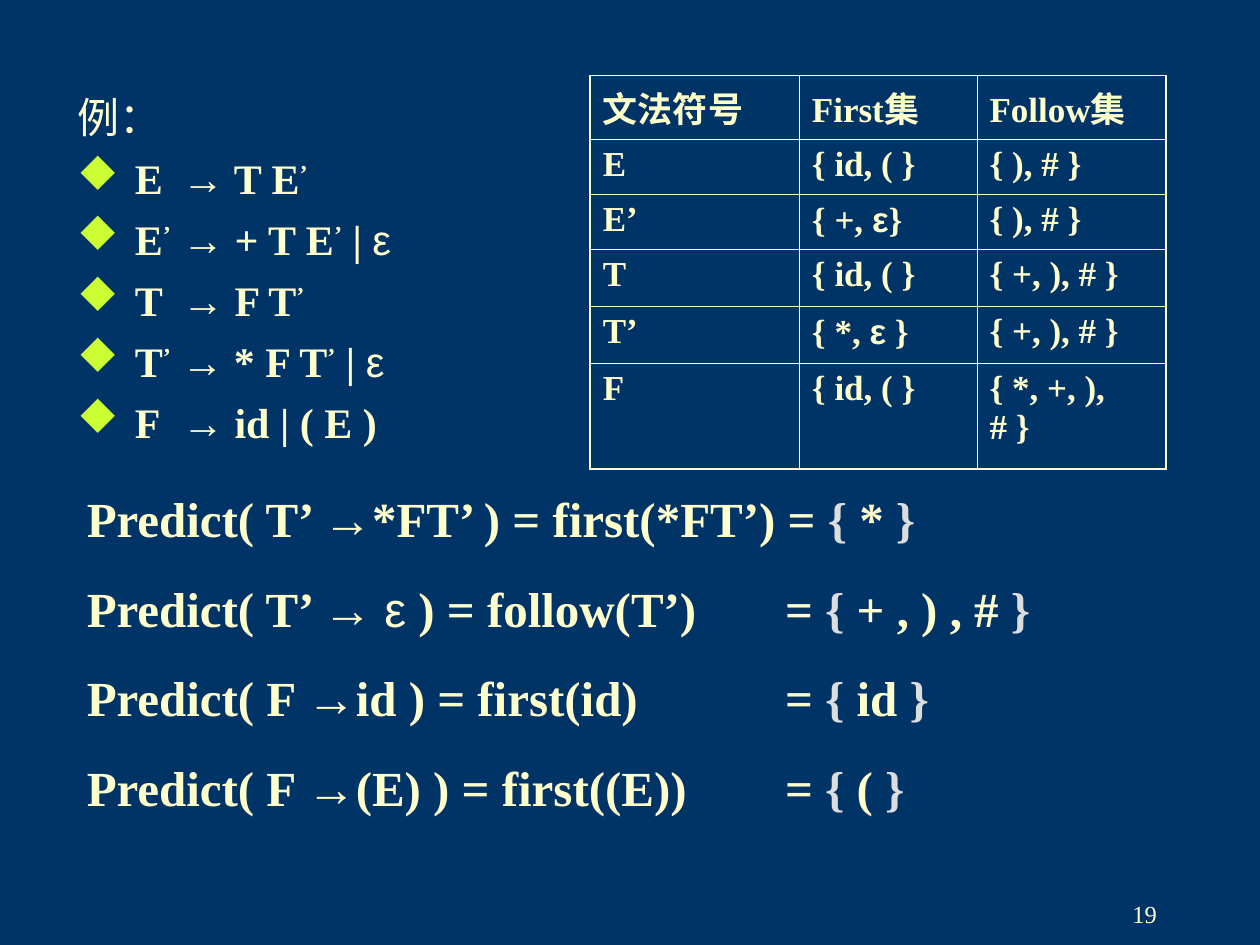
from dataclasses import dataclass
from itertools import groupby

from lxml import etree
from pptx import Presentation
from pptx.dml.color import RGBColor
from pptx.enum.text import MSO_ANCHOR, MSO_AUTO_SIZE, PP_ALIGN
from pptx.oxml.ns import qn
from pptx.util import Pt

TOP, MIDDLE = MSO_ANCHOR.TOP, MSO_ANCHOR.MIDDLE
RIGHT = PP_ALIGN.RIGHT
GROW, FIXED = MSO_AUTO_SIZE.SHAPE_TO_FIT_TEXT, MSO_AUTO_SIZE.NONE

HEX = {"back": "003366", "text": "FFFFCC", "mark": "CCFF33", "brace": "DDDDDD"}
SERIF, SANS = "Times New Roman", "Arial"
SYMBOL, DIAMOND = "Wingdings", "u"  # the letter u is a diamond in this font
THICK, THIN = 1.08, 0.45


@dataclass
class Box:
    x: float
    y: float
    w: float
    h: float


@dataclass
class Line:
    text: str
    bold: bool = True
    bullet: bool = False


@dataclass
class Row:
    high: float
    cells: tuple[str, str, str]


PAGE = Box(518.4, 504, 149.8, 36)
RULES = Box(37, 49, 232.6, 226.8)
GRID = Box(337.3, 43.2, 329, 221)
SETS = Box(42.5, 275.8, 594, 194.4)

GRAMMAR = [
    Line("例：", bold=False),
    Line("E\t→ T E’", bullet=True),
    Line("E’\t→ + T E’ | ε", bullet=True),
    Line("T\t→ F T’", bullet=True),
    Line("T’ → * F T’ | ε", bullet=True),
    Line("F\t→ id | ( E )", bullet=True),
]
PREDICT = [
    Line("Predict( T’ →*FT’ ) = first(*FT’) = { * }"),
    Line("Predict( T’ → ε ) = follow(T’)\t= { + , ) , # }"),
    Line("Predict( F →id ) = first(id)\t= { id }"),
    Line("Predict( F →(E) ) = first((E))\t= { ( }"),
]
COLS = (119.5, 101.5, 108)
ROWS = [
    Row(32.4, ("文法符号", "First集", "Follow集")),
    Row(31.5, ("E", "{ id, ( }", "{ ), # }")),
    Row(31.5, ("E’", "{ +, ε}", "{ ), # }")),
    Row(32.5, ("T", "{ id, ( }", "{ +, ), # }")),
    Row(32.5, ("T’", "{ *, ε }", "{ +, ), # }")),
    Row(60.5, ("F", "{ id, ( }", "{ *, +, ), # }")),
]


def rgb(name: str) -> RGBColor:
    return RGBColor.from_string(HEX[name])


def layout(para, tab: float = 0, indent: float = 0, bullet: bool = False) -> None:
    """Set the hanging indent, bullet and tab stop of a paragraph."""
    props = para._p.get_or_add_pPr()
    if indent:
        props.set("marL", str(Pt(indent)))
        props.set("indent", str(-Pt(indent)))
    if bullet:
        tint = etree.SubElement(props, qn("a:buClr"))
        etree.SubElement(tint, qn("a:srgbClr"), val=HEX["mark"])
        etree.SubElement(props, qn("a:buFont"), typeface=SYMBOL, charset="2")
        etree.SubElement(props, qn("a:buChar"), char=DIAMOND)
    if tab:
        stops = etree.SubElement(props, qn("a:tabLst"))
        etree.SubElement(stops, qn("a:tab"), pos=str(Pt(tab)), algn="l")


def write(para, text: str, *, size: float, bold: bool = True, light: str = "",
          raised: str = "", grey: str = "") -> None:
    """Add text in runs; light, raised and grey list the characters so styled."""
    def look(char: str) -> tuple[bool, bool, bool, bool]:
        return char in "→ε", char in light, char in raised, char in grey

    for (sans, thin, high, dim), chars in groupby(text, look):
        run = para.add_run()
        run.text = "".join(chars)
        font = run.font
        font.name = SANS if sans else SERIF
        font.size = Pt(size)
        font.bold = bold and not thin
        font.color.rgb = rgb("brace" if dim else "text")
        if high:
            run._r.get_or_add_rPr().set("baseline", "30000")


def frame(slide, box: Box, anchor=TOP, fit=FIXED):
    """Add a wrapping text box and return its text frame."""
    shape = slide.shapes.add_textbox(Pt(box.x), Pt(box.y), Pt(box.w), Pt(box.h))
    body = shape.text_frame
    body.word_wrap = True
    body.auto_size = fit
    body.vertical_anchor = anchor
    return body


def fill(body, lines: list[Line], gap: float, tab: float, indent: float = 0,
         **style) -> None:
    """Write one paragraph per line, with a gap between them."""
    for i, line in enumerate(lines):
        para = body.add_paragraph() if i else body.paragraphs[0]
        layout(para, tab if "\t" in line.text else 0, indent, line.bullet)
        para.space_before = Pt(gap if i else 0)
        write(para, line.text, bold=line.bold, **style)


def border(cell, edges: dict[str, bool]) -> None:
    """Rule all four sides of a cell, thick where the side is an outer edge."""
    props = cell._tc.get_or_add_tcPr()
    for side, outer in edges.items():
        wide = Pt(THICK if outer else THIN)
        rule = etree.SubElement(props, qn(f"a:ln{side}"), w=str(wide))
        solid = etree.SubElement(rule, qn("a:solidFill"))
        etree.SubElement(solid, qn("a:srgbClr"), val=HEX["text"])


def table(slide, box: Box) -> None:
    """Draw the table of first and follow sets."""
    grid = slide.shapes.add_table(len(ROWS), len(COLS), Pt(box.x), Pt(box.y),
                                  Pt(box.w), Pt(box.h)).table
    grid.first_row = grid.horz_banding = False
    for col, wide in zip(grid.columns, COLS):
        col.width = Pt(wide)
    for r, row in enumerate(ROWS):
        grid.rows[r].height = Pt(row.high)
        for c, text in enumerate(row.cells):
            cell = grid.cell(r, c)
            border(cell, {"L": c == 0, "R": c == len(COLS) - 1,
                          "T": r == 0, "B": r == len(ROWS) - 1})
            cell.fill.background()
            write(cell.text_frame.paragraphs[0], text, size=20)


def main() -> None:
    deck = Presentation()
    deck.slide_width, deck.slide_height = Pt(720), Pt(540)
    slide = deck.slides.add_slide(deck.slide_layouts[6])
    slide.background.fill.solid()
    slide.background.fill.fore_color.rgb = rgb("back")

    # Page number
    para = frame(slide, PAGE, MIDDLE).paragraphs[0]
    para.alignment = RIGHT
    write(para, "19", size=14, bold=False)

    # Grammar rules
    fill(frame(slide, RULES), GRAMMAR, gap=6, tab=60, indent=33,
         size=24, light="ε", raised="’")

    # First and follow sets
    table(slide, GRID)

    # Predict sets
    fill(frame(slide, SETS, fit=GROW), PREDICT, gap=17.5, tab=399,
         size=28, light="ε", grey="{}")

    deck.save("out.pptx")


if __name__ == "__main__":
    main()
